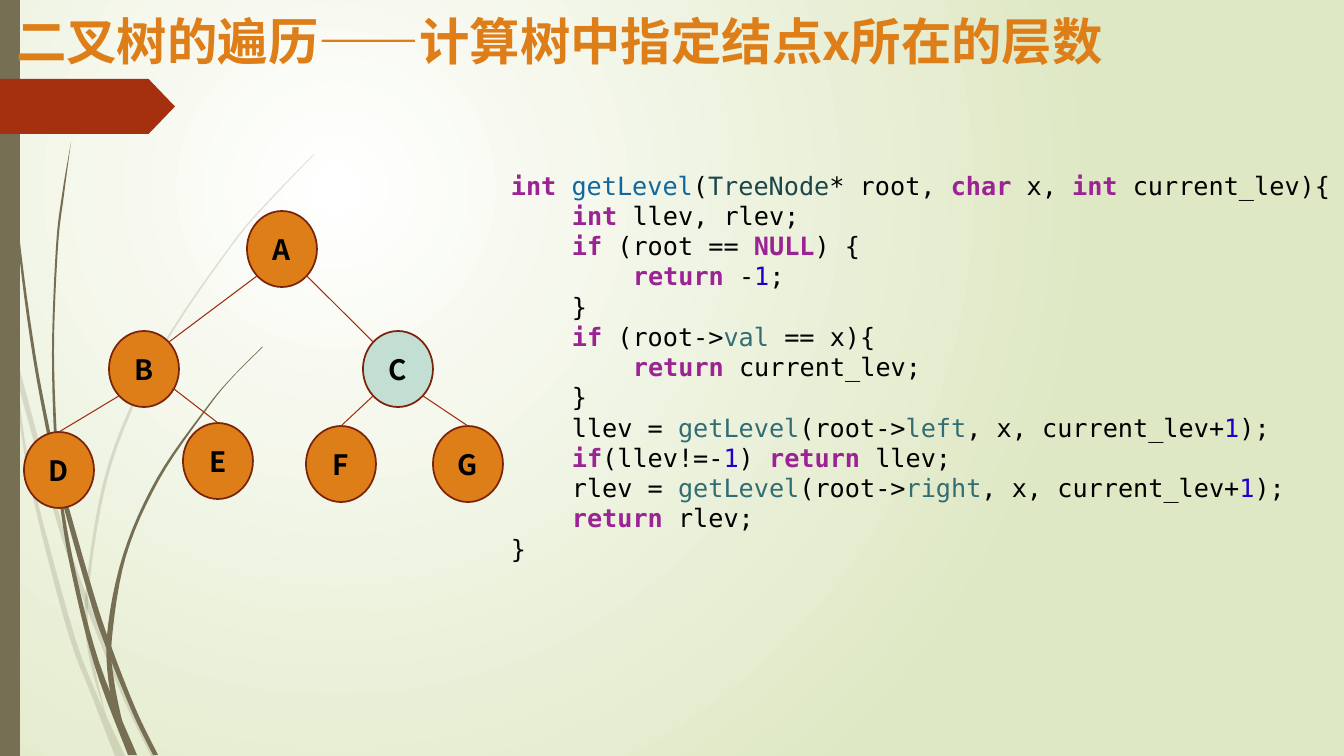
import lxml.etree
import pptx
import pptx.dml.color
import pptx.enum.shapes
import pptx.enum.text
import pptx.oxml.ns
import pptx.util

EMU_PER_PX = 12192000 / 1344
PAGE_SIZE = (1344, 756)
HEADING_FONT, CODE_FONT = "Noto Sans CJK SC", "DejaVu Sans Mono"
ORANGE, MINT, OLIVE, RED = "DE7E18", "C3DED3", "766F54", "A53010"
NODE_LINE, EDGE_LINE, BLACK = "7A240C", "9E2E0F", "000000"
BACKGROUND = ("FFFFFF", "DFE8C4")

TITLE = "二叉树的遍历——计算树中指定结点x所在的层数"
TITLE_BOX = (6, 5, 1151, 85)
CODE_BOX = (501, 165, 843, 407)
INDENT = 61

NODE_SIZE = (70, 76)
NODES = {
    "A": (247, 211), "B": (109, 331), "C": (363, 331), "D": (24, 432),
    "E": (183, 423), "F": (306, 426), "G": (433, 426),
}
FOUND_NODE = "C"
ANCHORS = {
    "top": (0.5, 0), "upper left": (0.15, 0.15), "upper right": (0.85, 0.15),
    "lower left": (0.15, 0.85), "lower right": (0.85, 0.85), "right": (0.91, 0.75),
}
EDGES = [
    ("A", "lower left", "B", "upper right"),
    ("A", "lower right", "C", "upper left"),
    ("B", "lower left", "D", "top"),
    ("B", "right", "E", "top"),
    ("C", "lower left", "F", "top"),
    ("C", "lower right", "G", "top"),
]

CODE_STYLES = {
    "plain": (BLACK, False), "keyword": ("9B2393", True), "define": ("0F68A0", False),
    "type": ("1C464A", False), "member": ("326D74", False), "number": ("1C00CF", False),
}
CODE = [
    (0, [("int ", "keyword"), ("getLevel", "define"), ("(", "plain"), ("TreeNode", "type"),
         ("* root, ", "plain"), ("char", "keyword"), (" x, ", "plain"), ("int ", "keyword"),
         ("current_lev){", "plain")]),
    (1, [("int ", "keyword"), ("llev, rlev;", "plain")]),
    (1, [("if", "keyword"), (" (root == ", "plain"), ("NULL", "keyword"), (") {", "plain")]),
    (2, [("return", "keyword"), (" -", "plain"), ("1", "number"), (";", "plain")]),
    (1, [("}", "plain")]),
    (1, [("if", "keyword"), (" (root->", "plain"), ("val", "member"), (" == x){", "plain")]),
    (2, [("return ", "keyword"), ("current_lev;", "plain")]),
    (1, [("}", "plain")]),
    (1, [("llev = ", "plain"), ("getLevel", "member"), ("(root->", "plain"), ("left", "member"),
         (", x, current_lev+", "plain"), ("1", "number"), (");", "plain")]),
    (1, [("if", "keyword"), ("(llev!=-", "plain"), ("1", "number"), (") ", "plain"),
         ("return ", "keyword"), ("llev;", "plain")]),
    (1, [("rlev = ", "plain"), ("getLevel", "member"), ("(root->", "plain"), ("right", "member"),
         (", x, current_lev+", "plain"), ("1", "number"), (");", "plain")]),
    (1, [("return ", "keyword"), ("rlev;", "plain")]),
    (0, [("}", "plain")]),
]

FAINT_BLADES = [
    ([(0, 301), (10, 347), (28, 474), (66, 626), (93, 699), (115, 756)],
     [(0, 284), (9, 325), (17, 379), (31, 473), (71, 624), (94, 688), (125, 756)]),
    ([(14, 348), (17, 379), (58, 526), (85, 604), (124, 700), (151, 756)],
     [(14, 348), (62, 524), (93, 612), (128, 698), (156, 756)]),
    ([(314, 154), (270, 199), (230, 246), (159, 351), (108, 465), (86, 589), (88, 651),
      (106, 717)],
     [(314, 155), (271, 200), (231, 247), (161, 352), (111, 466), (89, 589), (92, 651),
      (106, 717)]),
]
DARK_BLADES = [
    ([(3, 0), (7, 111), (17, 235), (33, 358), (56, 481), (69, 561), (94, 664), (128, 755)],
     [(4, 0), (8, 110), (19, 234), (36, 358), (55, 457), (73, 560), (99, 662), (137, 755)]),
    ([(55, 453), (57, 481), (89, 597), (107, 650), (133, 714), (153, 755)],
     [(55, 453), (60, 476), (94, 595), (114, 654), (137, 712), (158, 755)]),
    ([(71, 142), (62, 195), (56, 247), (52, 352), (55, 453), (60, 476)],
     [(71, 142), (64, 195), (58, 247), (54, 352), (58, 457), (60, 476)]),
    ([(262, 347), (233, 376), (206, 408), (157, 478), (123, 555), (107, 636), (111, 697),
      (123, 725)],
     [(263, 347), (233, 377), (207, 409), (159, 480), (126, 556), (112, 638), (114, 680),
      (123, 725)]),
]


def px(*lengths):
    return [pptx.util.Emu(round(length * EMU_PER_PX)) for length in lengths]


def color(code):
    return pptx.dml.color.RGBColor.from_string(code)


def add_child(parent, tag, **attributes):
    return lxml.etree.SubElement(parent, pptx.oxml.ns.qn(tag), attributes)


def add_span(para, text, font, size, ink, bold):
    span = para.add_run()
    span.text = text
    span.font.name = font
    span.font.size = pptx.util.Pt(size)
    span.font.bold = bold
    span.font.color.rgb = color(ink)
    add_child(span.font._element, "a:ea", typeface=font)


def paint(shape, fill, line=None):
    shape.shadow.inherit = False
    shape.fill.solid()
    shape.fill.fore_color.rgb = color(fill)
    if line:
        shape.line.color.rgb = color(line)
        shape.line.width = pptx.util.Pt(1.25)
    else:
        shape.line.fill.background()


def smooth(points, steps=6):
    padded = [points[0], *points, points[-1]]
    curve = [points[0]]
    for before, start, end, after in zip(padded, padded[1:], padded[2:], padded[3:]):
        for step in range(1, steps + 1):
            t = step / steps
            curve.append(tuple(
                b + ((c - a) * t + (2 * a - 5 * b + 4 * c - d) * t ** 2
                     + (3 * b - a - 3 * c + d) * t ** 3) / 2
                for a, b, c, d in zip(before, start, end, after)))
    return curve


def add_blades(page, blades, opacity):
    group = page.shapes.add_group_shape()
    for left, right in blades:
        outline = [px(*point) for point in smooth(left) + smooth(right)[::-1]]
        builder = group.shapes.build_freeform(*outline[0])
        builder.add_line_segments(outline[1:])
        blade = builder.convert_to_shape()
        paint(blade, OLIVE)
        if opacity < 100:
            ink = blade.element.spPr.find(".//" + pptx.oxml.ns.qn("a:srgbClr"))
            add_child(ink, "a:alpha", val=str(opacity * 1000))


def add_background(page):
    fill = page.background.fill
    fill.gradient()
    for stop, code in zip(fill.gradient_stops, BACKGROUND):
        stop.color.rgb = color(code)
    gradient = page.element.find(".//" + pptx.oxml.ns.qn("a:gradFill"))
    gradient.remove(gradient.find(pptx.oxml.ns.qn("a:lin")))
    circle = add_child(gradient, "a:path", path="circle")
    add_child(circle, "a:fillToRect", l="50000", t="50000", r="100000", b="100000")


def add_title(page):
    title = page.shapes.title
    title.element.getparent().append(title.element)
    title.left, title.top, title.width, title.height = px(*TITLE_BOX)
    frame = title.text_frame
    frame.auto_size = pptx.enum.text.MSO_AUTO_SIZE.NONE
    frame.vertical_anchor = pptx.enum.text.MSO_ANCHOR.TOP
    para = frame.paragraphs[0]
    para.alignment = pptx.enum.text.PP_ALIGN.LEFT
    add_span(para, TITLE, HEADING_FONT, 36, ORANGE, True)


def anchor_point(name, anchor):
    return px(*(corner + size * share
                for corner, size, share in zip(NODES[name], NODE_SIZE, ANCHORS[anchor])))


def add_tree(page):
    tree = page.shapes.add_group_shape()
    for name, corner in NODES.items():
        node = tree.shapes.add_shape(pptx.enum.shapes.MSO_SHAPE.OVAL, *px(*corner, *NODE_SIZE))
        paint(node, MINT if name == FOUND_NODE else ORANGE, NODE_LINE)
        node.text_frame.vertical_anchor = pptx.enum.text.MSO_ANCHOR.MIDDLE
        para = node.text_frame.paragraphs[0]
        para.alignment = pptx.enum.text.PP_ALIGN.CENTER
        add_span(para, name, HEADING_FONT, 20, BLACK, True)
    for parent, start, child, end in EDGES:
        edge = tree.shapes.add_connector(pptx.enum.shapes.MSO_CONNECTOR.STRAIGHT,
                                         *anchor_point(parent, start), *anchor_point(child, end))
        edge.line.color.rgb = color(EDGE_LINE)
        edge.line.width = pptx.util.Pt(0.75)
        add_child(edge.element.spPr, "a:effectLst")


def add_code(page):
    frame = page.shapes.add_textbox(*px(*CODE_BOX)).text_frame
    frame.word_wrap = True
    frame.margin_right = 0
    for number, (level, spans) in enumerate(CODE):
        para = frame.add_paragraph() if number else frame.paragraphs[0]
        para._p.get_or_add_pPr().set("marL", str(px(level * INDENT)[0]))
        for text, style in spans:
            add_span(para, text, CODE_FONT, 18, *CODE_STYLES[style])


def main():
    deck = pptx.Presentation()
    deck.slide_width, deck.slide_height = px(*PAGE_SIZE)
    page = deck.slides.add_slide(deck.slide_layouts[5])
    add_background(page)
    add_blades(page, FAINT_BLADES, 20)
    add_blades(page, DARK_BLADES, 100)
    shapes = pptx.enum.shapes.MSO_SHAPE
    paint(page.shapes.add_shape(shapes.RECTANGLE, *px(0, 0, 20, 756)), OLIVE)
    banner = page.shapes.add_shape(shapes.PENTAGON, *px(0, 79, 175, 55))
    banner.adjustments[0] = 0.48
    paint(banner, RED)
    add_title(page)
    add_tree(page)
    add_code(page)
    deck.save("out.pptx")


if __name__ == "__main__":
    main()
